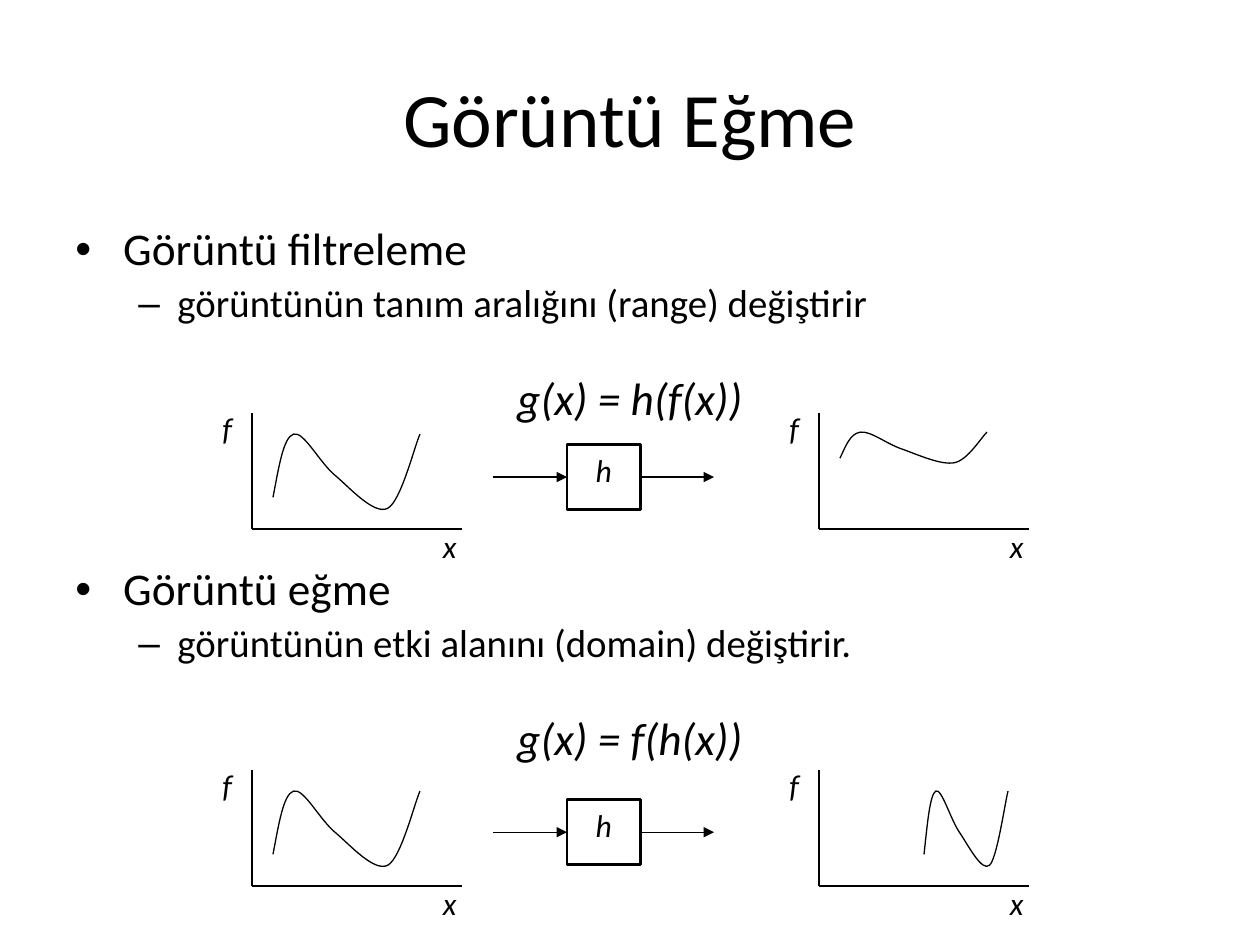
from pptx import Presentation
from pptx.dml.color import RGBColor
from pptx.enum.shapes import MSO_CONNECTOR as Conn, MSO_SHAPE as Kind
from pptx.enum.text import MSO_ANCHOR as Anchor, PP_ALIGN as Align
from pptx.oxml.ns import qn
from pptx.util import Inches, Pt
from lxml.etree import SubElement as sub

BLACK = RGBColor(0, 0, 0)
FONT = "Calibri"
WIDE, HIGH = Inches(10), Inches(7.5)
COL, ROW = WIDE / 120, HIGH / 120
CURVE = [
    ("moveTo", [(0, 79)]),
    ("cubicBezTo", [(4, 43), (7, 8), (14, 4)]),
    ("cubicBezTo", [(21, 0), (32, 39), (43, 54)]),
    ("cubicBezTo", [(53, 69), (69, 100), (78, 92)]),
    ("cubicBezTo", [(87, 84), (96, 20), (100, 4)]),
]


def grid(col, row, cols, rows):
    """Turn grid columns and rows into a box of lengths."""
    return col * COL, row * ROW, cols * COL, rows * ROW


def part(box, x, y, w, h):
    """Return the box at the given shares of another box."""
    left, top, wide, high = box
    return tuple(int(v) for v in (left + x * wide, top + y * high, w * wide, h * high))


def write(para, text, size, italic=False):
    """Add one run of black text to a paragraph."""
    run = para.add_run()
    run.text = text
    font = run.font
    font.name, font.size, font.italic = FONT, Pt(size), italic
    font.color.rgb = BLACK


def bullet(para, mark, left, hang):
    """Give a paragraph a bullet with a hanging indent."""
    props = para._p.get_or_add_pPr()
    props.set("marL", str(Inches(left)))
    props.set("indent", str(-Inches(hang)))
    sub(props, qn("a:buFont")).set("typeface", "Arial")
    sub(props, qn("a:buChar")).set("char", mark)


def title(slide, box, text):
    """Place and fill the title placeholder."""
    shape = slide.shapes.title
    shape.left, shape.top, shape.width, shape.height = part(box, 0, 0, 1, 1)
    frame = shape.text_frame
    frame.vertical_anchor = Anchor.MIDDLE
    para = frame.paragraphs[0]
    para.alignment = Align.CENTER
    write(para, text, 44)


def body(slide, box, topics):
    """Write each topic as a bullet, its detail and a centred formula."""
    frame = slide.shapes.add_textbox(*part(box, 0, 0, 1, 1)).text_frame
    frame.word_wrap = True
    for i, (head, detail, rule) in enumerate(topics):
        first = frame.add_paragraph() if i else frame.paragraphs[0]
        second, third = frame.add_paragraph(), frame.add_paragraph()
        for para, gap in ((first, 80.8 if i else 0), (second, 5), (third, 28.6)):
            para.line_spacing = 0.9
            para.space_before = Pt(gap)
        second.level = 1
        third.alignment = Align.CENTER
        bullet(first, "•", 0.38, 0.38)
        bullet(second, "–", 0.81, 0.31)
        write(first, head, 25.9)
        write(second, detail, 22.2)
        write(third, rule, 25.9, True)


def line(shapes, x1, y1, x2, y2, arrow=False):
    """Draw a thin straight line, with an arrowhead if asked."""
    link = shapes.add_connector(Conn.STRAIGHT, int(x1), int(y1), int(x2), int(y2))
    link.line.color.rgb, link.line.width = BLACK, Pt(0.75)
    if arrow:
        sub(link.line._get_or_add_ln(), qn("a:tailEnd")).set("type", "triangle")
    sub(link._element.spPr, qn("a:effectLst"))
    return link


def label(shapes, box, text):
    """Write an italic axis name."""
    frame = shapes.add_textbox(*part(box, 0, 0, 1, 1)).text_frame
    frame.word_wrap = True
    write(frame.paragraphs[0], text, 18, True)


def wave(shapes, box):
    """Draw the smooth signal curve stretched to a box."""
    pen = shapes.build_freeform(*part(box, 0, 0, 0, 0)[:2])
    pen.add_line_segments([part(box, 1, 1, 0, 0)[:2]], close=False)
    shape = pen.convert_to_shape()
    trace = shape._element.spPr.find(".//" + qn("a:path"))
    for step in list(trace):
        trace.remove(step)
    trace.set("w", "100")
    trace.set("h", "100")
    for kind, spots in CURVE:
        step = sub(trace, qn("a:" + kind))
        for x, y in spots:
            spot = sub(step, qn("a:pt"))
            spot.set("x", str(x))
            spot.set("y", str(y))
    shape.shadow.inherit = False
    shape.fill.background()
    shape.line.color.rgb, shape.line.width = BLACK, Pt(0.75)


def plot(slide, box, span):
    """Draw axes, their names and a curve within the given shares."""
    shapes = slide.shapes.add_group_shape().shapes
    left, top, wide, high = box
    line(shapes, left, top, left, top + high)
    line(shapes, left, top + high, left + wide, top + high)
    wave(shapes, part(box, *span))
    label(shapes, part(box, -0.2, -0.09, 0.25, 0.43), "f")
    label(shapes, part(box, 0.85, 0.93, 0.25, 0.43), "x")


def system(slide, box):
    """Draw the h block with an arrow in and an arrow out."""
    shapes = slide.shapes.add_group_shape().shapes
    left, top, wide, high = box
    block = shapes.add_shape(Kind.RECTANGLE, *part(box, 1 / 3, 0, 1 / 3, 1))
    block.shadow.inherit = False
    block.fill.background()
    block.line.color.rgb, block.line.width = BLACK, Pt(1.5)
    frame = block.text_frame
    frame.vertical_anchor = Anchor.TOP
    para = frame.paragraphs[0]
    para.alignment = Align.CENTER
    write(para, "h", 18, True)
    mid = top + high / 2
    line(shapes, left, mid, left + wide / 3, mid, True).end_connect(block, 1)
    line(shapes, left + wide * 2 / 3, mid, left + wide, mid, True).begin_connect(block, 3)


def main():
    """Build the slide and save it."""
    deck = Presentation()
    deck.slide_width, deck.slide_height = WIDE, HIGH
    slide = deck.slides.add_slide(deck.slide_layouts[5])
    title(slide, grid(6, 4.8, 108, 20), "Görüntü Eğme")
    body(slide, grid(6, 28, 108, 73.6), [
        ("Görüntü filtreleme", "görüntünün tanım aralığını (range) değiştirir", "g(x) = h(f(x))"),
        ("Görüntü eğme", "görüntünün etki alanını (domain) değiştirir.", "g(x) = f(h(x))"),
    ])
    full = (0.1, 0.15, 0.7, 0.73)
    flat = (0.1, 0.15, 0.7, 0.3)
    slim = (0.5, 0.15, 0.4, 0.73)
    for i, span in enumerate((flat, slim)):
        row = 52.5 + 45.33 * i
        plot(slide, grid(24, row, 20, 14.67), full)
        system(slide, grid(47, 56.45 + 45.1 * i, 21, 8.25))
        plot(slide, grid(78, row, 20, 14.67), span)
    deck.save("out.pptx")


if __name__ == "__main__":
    main()
